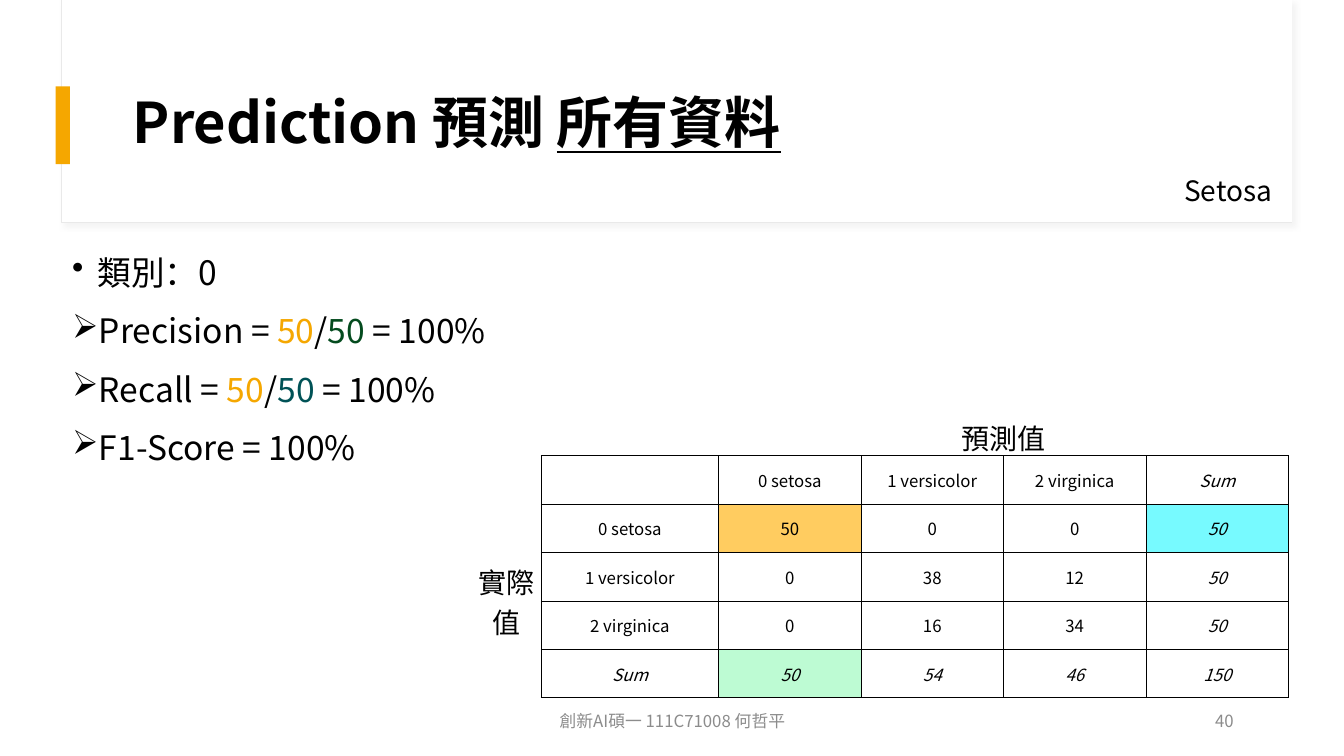
from lxml import etree
from pptx import Presentation, util as u
from pptx.dml.color import RGBColor
from pptx.enum import shapes, text
from pptx.oxml import parse_xml

FONT = "Noto Sans CJK SC"
NS = 'xmlns:a="http://schemas.openxmlformats.org/drawingml/2006/main"'
BLACK, WHITE, GREY, AMBER = "000000", "FFFFFF", "8C8C8C", "F5A700"
LEFT, CENTER, RIGHT = text.PP_ALIGN.LEFT, text.PP_ALIGN.CENTER, text.PP_ALIGN.RIGHT
TOP, MIDDLE = text.MSO_ANCHOR.TOP, text.MSO_ANCHOR.MIDDLE


def rgb(value):
    return RGBColor.from_string(value)


def write(paragraph, runs, size, color=BLACK, align=LEFT):
    paragraph.alignment = align
    font = paragraph.font
    font.size, font.name = u.Pt(size), FONT
    font.color.rgb = rgb(color)
    font._element.append(parse_xml(f'<a:ea {NS} typeface="{FONT}"/>'))
    for words, run_color in runs:
        run = paragraph.add_run()
        run.text = words
        if run_color:
            run.font.color.rgb = rgb(run_color)


presentation = Presentation()
presentation.slide_width, presentation.slide_height = u.Cm(33.87), u.Cm(19.05)
slide = presentation.slides.add_slide(presentation.slide_layouts[6])

panels = [
    ((1.55, 0, 31.01, 5.61), WHITE, "E9E9E9"),
    ((1.57, 0, 30.99, 5.59), WHITE, None),
    ((1.4, 2.18, 0.36, 1.96), AMBER, None),
]
for box, fill, line in panels:
    panel = slide.shapes.add_shape(shapes.MSO_SHAPE.RECTANGLE, *map(u.Cm, box))
    panel.shadow.inherit = False
    panel.fill.solid()
    panel.fill.fore_color.rgb = rgb(fill)
    if line:
        panel.line.color.rgb = rgb(line)
        panel.line.width = u.Pt(0.75)
        effects = panel._element.spPr.find("{*}effectLst")
        effects.append(parse_xml(
            f'<a:outerShdw {NS} blurRad="50800" dist="38100" dir="2700000">'
            '<a:srgbClr val="D9D9D9"><a:alpha val="30000"/></a:srgbClr></a:outerShdw>'))
    else:
        panel.line.fill.background()

texts = [
    ((3.1, 1.52, 28.24, 3.28), MIDDLE, LEFT, 40, BLACK, ["Prediction 預測 ", "所有資料"]),
    ((27.33, 4.24, 4.98, 1.12), TOP, RIGHT, 20, BLACK, ["Setosa"]),
    ((23.72, 17.65, 7.62, 1.02), MIDDLE, RIGHT, 12, GREY, ["40"]),
    ((11.23, 17.65, 11.43, 1.02), MIDDLE, CENTER, 12, GREY, ["創新AI碩一 111C71008 何哲平"]),
]
for box, anchor, align, size, color, words in texts:
    frame = slide.shapes.add_textbox(*map(u.Cm, box)).text_frame
    frame.word_wrap, frame.vertical_anchor = True, anchor
    paragraph = frame.paragraphs[0]
    write(paragraph, [(word, None) for word in words], size, color, align)
    if size == 40:
        paragraph.line_spacing = 0.9
        paragraph.font.bold = True
        paragraph.runs[1].font.underline = True

metrics = [
    ("•", [("類別：0", None)]),
    ("➢", [("Precision = ", None), ("50", AMBER), ("/", None), ("50", "044B1E"), (" = 100%", None)]),
    ("➢", [("Recall = ", None), ("50", AMBER), ("/", None), ("50", "005256"), (" = 100%", None)]),
    ("➢", [("F1-Score = 100%", None)]),
]
frame = slide.shapes.add_textbox(*map(u.Cm, (1.57, 6.12, 28.24, 10.26))).text_frame
frame.word_wrap = True
for index, (bullet, runs) in enumerate(metrics):
    paragraph = frame.add_paragraph() if index else frame.paragraphs[0]
    write(paragraph, runs, 24)
    paragraph.line_spacing, paragraph.space_before = 1.1, u.Pt(10)
    properties = paragraph._p.pPr
    properties.set("marL", str(u.Cm(0.64)))
    properties.set("indent", str(u.Cm(-0.64)))
    properties.find("{*}defRPr").addprevious(parse_xml(f'<a:buChar {NS} char="{bullet}"/>'))

matrix = [
    ["", "", "預測值", "", "", ""],
    ["", "", "0 setosa", "1 versicolor", "2 virginica", "Sum"],
    ["實際值", "0 setosa", "50", "0", "0", "50"],
    ["", "1 versicolor", "0", "38", "12", "50"],
    ["", "2 virginica", "0", "16", "34", "50"],
    ["", "Sum", "50", "54", "46", "150"],
]
highlights = {(2, 2): "FFCC60", (2, 5): "77FAFF", (5, 2): "BDFBD3"}
table = slide.shapes.add_table(6, 6, *map(u.Cm, (11.91, 10.49, 20.4, 7.09))).table
table.first_row = table.horz_banding = False
for column, width in zip(table.columns, [1.73, 4.47] + [3.59] * 4):
    column.width = u.Cm(width)
for row, height in zip(table.rows, [0.99] + [1.22] * 5):
    row.height = u.Cm(height)
table.cell(0, 2).merge(table.cell(0, 5))
table.cell(2, 0).merge(table.cell(5, 0))

for r, values in enumerate(matrix):
    for c, value in enumerate(values):
        cell = table.cell(r, c)
        cell.margin_left = cell.margin_right = cell.margin_top = u.Cm(0.02)
        cell.margin_bottom = 0
        cell.vertical_anchor = MIDDLE
        heading = r == 0 or c == 0
        paragraph = cell.text_frame.paragraphs[0]
        write(paragraph, [(value, None)] if value else [], 20 if heading and value else 12, align=CENTER)
        paragraph.font.italic = not heading and (r == 5 or c == 5)
        properties = cell._tc.get_or_add_tcPr()
        if value == "實際值":
            properties.set("vert", "eaVert")
        for side in "LRTB":
            drawn = not heading or (side == "B" and r == 0 < c) or (side == "R" and c == 0 < r)
            if c == 0 and side == "R" and r == 0:
                drawn = False
            border = etree.SubElement(properties, properties.nsmap["a"].join("{}") + "ln" + side, w="6350")
            paint = f'<a:solidFill {NS}><a:srgbClr val="{BLACK}"/></a:solidFill>' if drawn else f"<a:noFill {NS}/>"
            border.append(parse_xml(paint))
        if (r, c) in highlights:
            cell.fill.solid()
            cell.fill.fore_color.rgb = rgb(highlights[r, c])
        else:
            cell.fill.background()

presentation.save("out.pptx")
